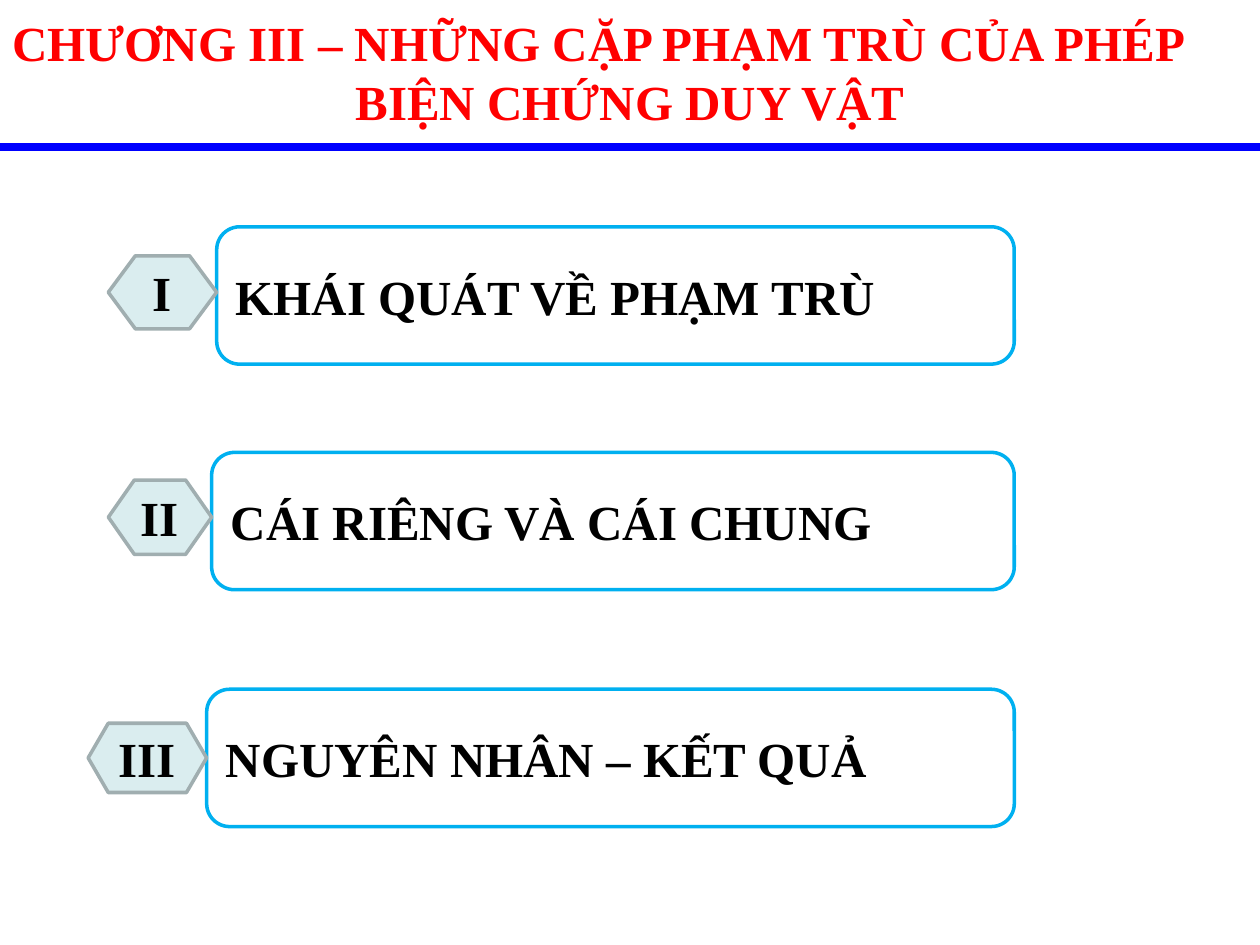
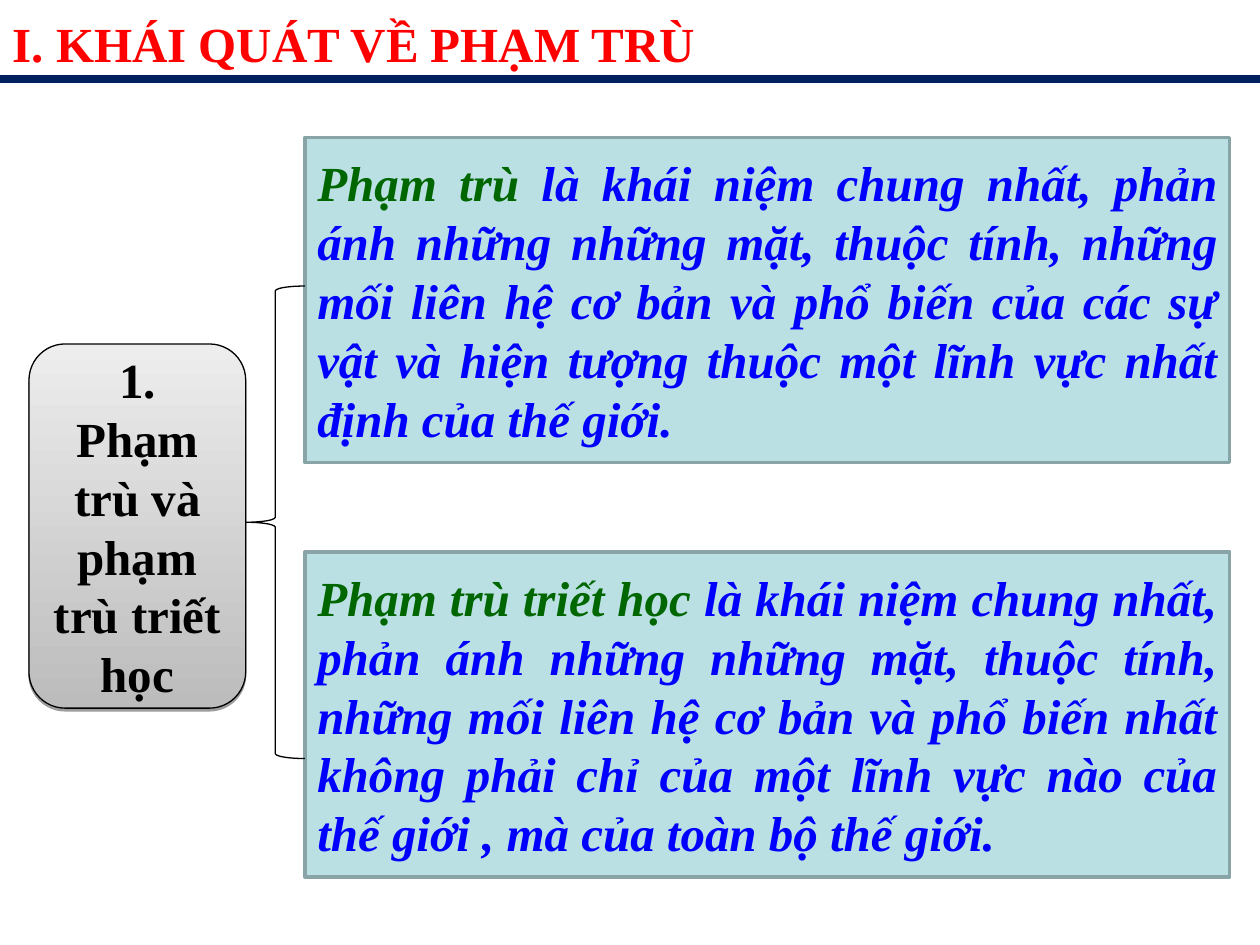
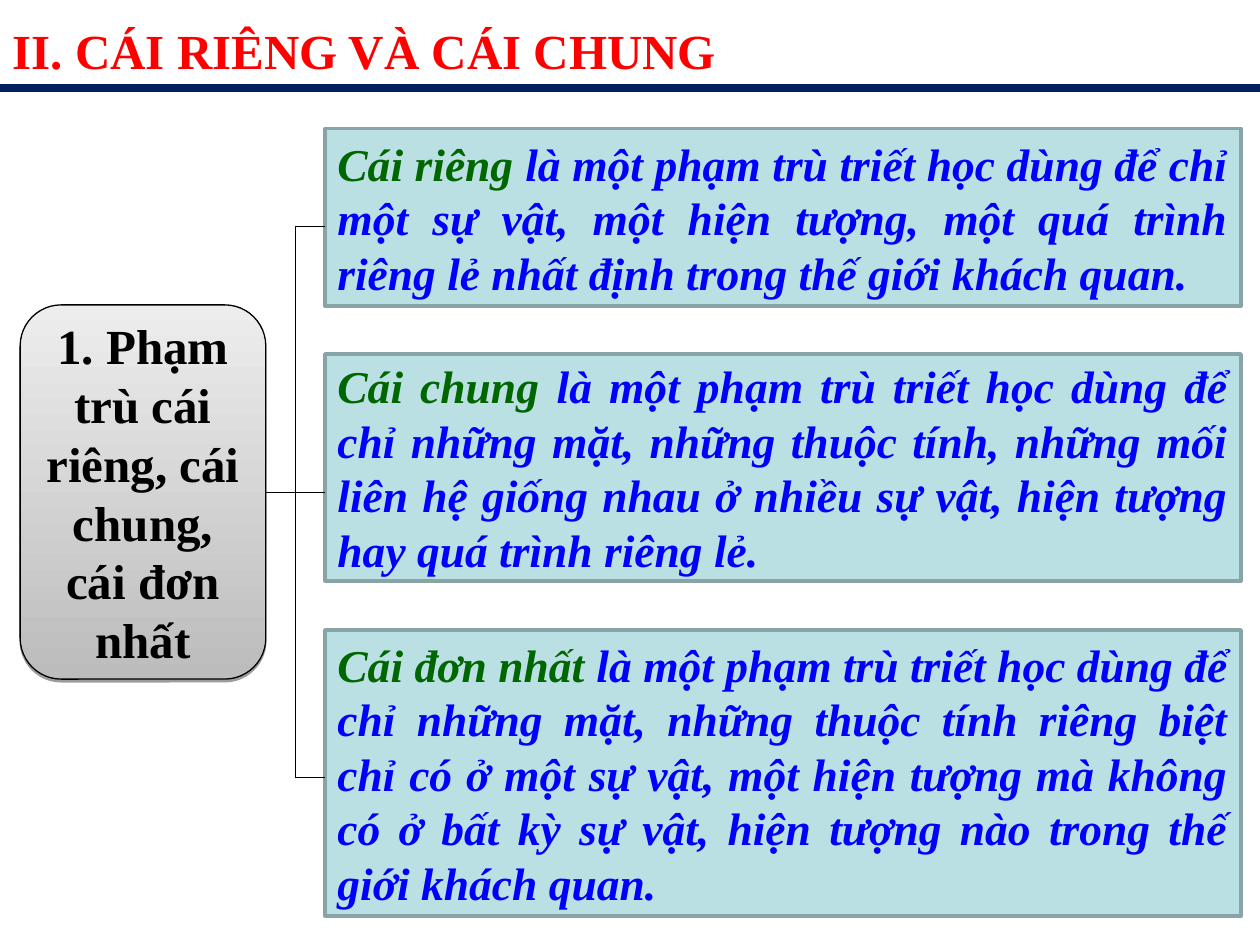
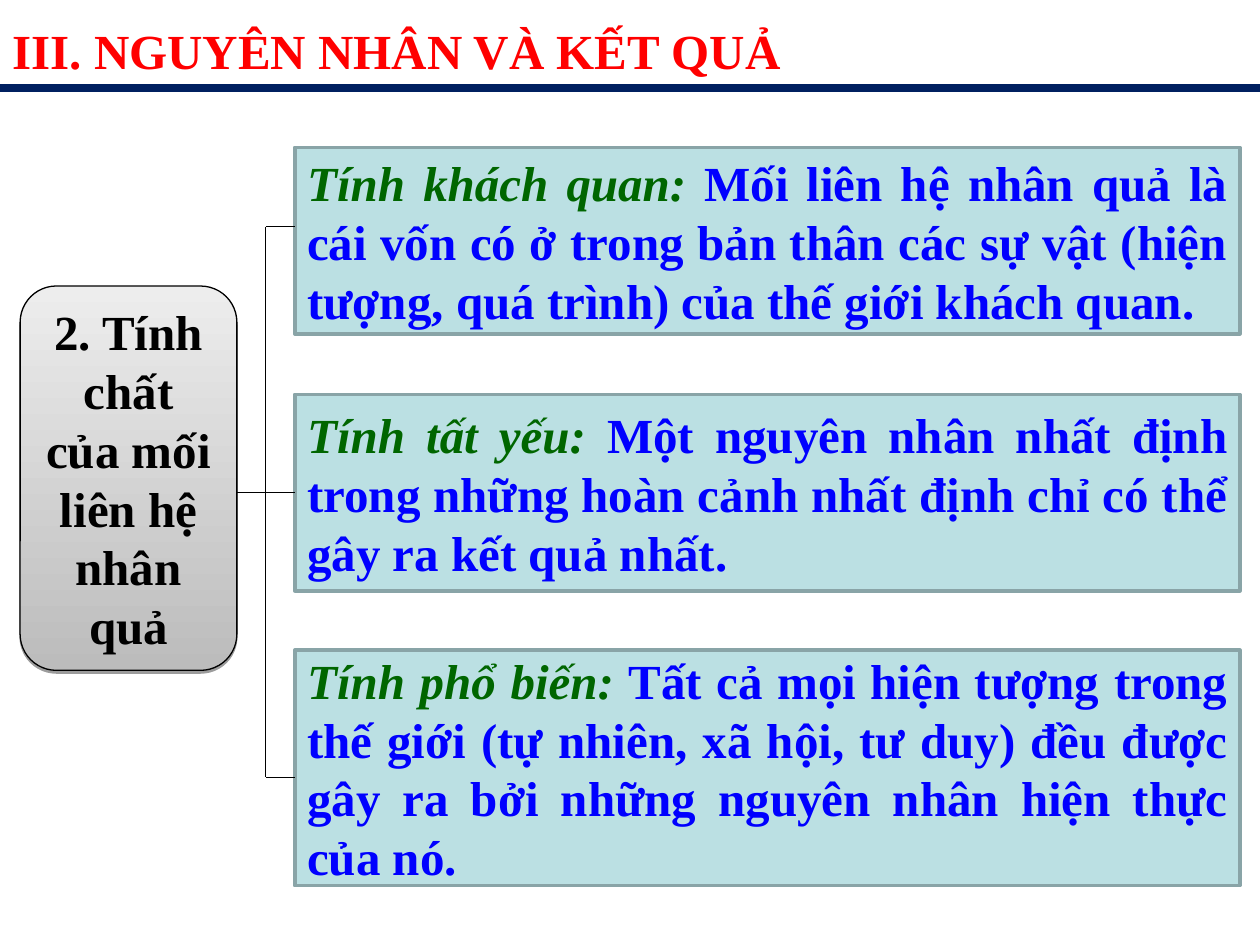
from lxml.etree import SubElement
from pptx import Presentation
from pptx.dml.color import RGBColor
from pptx.enum.shapes import MSO_CONNECTOR, MSO_SHAPE
from pptx.enum.text import MSO_ANCHOR, MSO_AUTO_SIZE, PP_ALIGN
from pptx.oxml.ns import qn
from pptx.util import Inches, Pt

FONT = "Times New Roman"
COLORS = {
    "title": "FF0000", "blue": "0000FF", "navy": "002060", "black": "000000",
    "term": "006600", "box": "BBE0E3", "box_line": "89A4A7",
    "white": "FFFFFF", "chapter_line": "00B0F0",
    "badge": "DAEDEF", "badge_line": "A0AEB0",
    "topic_bottom": "BCBCBC", "topic_top": "EDEDED",
}

# Slide 1: numeral, heading, bar (left, top), badge (left, top, height, point)
CHAPTER_TITLE = ["CHƯƠNG III – NHỮNG CẶP PHẠM TRÙ CỦA PHÉP", "BIỆN CHỨNG DUY VẬT"]
CHAPTERS = [
    ("I", "KHÁI QUÁT VỀ PHẠM TRÙ", (1.72, 1.8), (0.86, 2.03, 0.58, 0.37)),
    ("II", "CÁI RIÊNG VÀ CÁI CHUNG", (1.68, 3.59), (0.86, 3.81, 0.59, 0.35)),
    ("III", "NGUYÊN NHÂN – KẾT QUẢ", (1.64, 5.47), (0.7, 5.74, 0.55, 0.29)),
]
BAR_RIGHT, BAR_HEIGHT = 8.05, 1.09

# Slides 2 to 4: a topic joined to its definitions (top, height, term, text)
SECTIONS = [
    {
        "title": "I. KHÁI QUÁT VỀ PHẠM TRÙ", "title_top": -0.04, "rule": 0.63,
        "topic": "1. Phạm trù và phạm trù triết học",
        "topic_at": (0.23, 2.73, 1.72, 2.89),
        "left": 2.42, "width": 7.34, "size": 28, "italic": True,
        "brace": (2.27, 3.75),
        "definitions": [
            (1.09, 2.58, "Phạm trù ",
             "là khái niệm chung nhất, phản ánh những những mặt, thuộc tính, những "
             "mối liên hệ cơ bản và phổ biến của các sự vật và hiện tượng thuộc một "
             "lĩnh vực nhất định của thế giới."),
            (4.38, 2.58, "Phạm trù triết học ",
             "là khái niệm chung nhất, phản ánh những những mặt, thuộc tính, những "
             "mối liên hệ cơ bản và phổ biến nhất không phải chỉ của một lĩnh vực nào "
             "của thế giới , mà của toàn bộ thế giới."),
        ],
    },
    {
        "title": "II. CÁI RIÊNG VÀ CÁI CHUNG", "title_top": 0.02, "rule": 0.7,
        "topic": "1. Phạm trù cái riêng, cái chung, cái đơn nhất",
        "topic_at": (0.16, 2.42, 1.95, 2.97),
        "left": 2.58, "width": 7.27, "size": 26, "italic": True,
        "branches": (1.8, 3.91, 6.17),
        "definitions": [
            (1.02, 1.41, "Cái riêng ",
             "là một phạm trù triết học dùng để chỉ một sự vật, một hiện tượng, một "
             "quá trình riêng lẻ nhất định trong thế giới khách quan."),
            (2.81, 1.8, "Cái chung ",
             "là một phạm trù triết học dùng để chỉ những mặt, những thuộc tính, "
             "những mối liên hệ giống nhau ở nhiều sự vật, hiện tượng hay quá trình "
             "riêng lẻ."),
            (5, 2.27, "Cái đơn nhất ",
             "là một phạm trù triết học dùng để chỉ những mặt, những thuộc tính riêng "
             "biệt chỉ có ở một sự vật, một hiện tượng mà không có ở bất kỳ sự vật, "
             "hiện tượng nào trong thế giới khách quan."),
        ],
    },
    {
        "title": "III. NGUYÊN NHÂN VÀ KẾT QUẢ", "title_top": 0.02, "rule": 0.7,
        "topic": "2. Tính chất của mối liên hệ nhân quả",
        "topic_at": (0.16, 2.27, 1.72, 3.05),
        "left": 2.34, "width": 7.5, "size": 28, "italic": False,
        "branches": (1.8, 3.91, 6.17),
        "definitions": [
            (1.17, 1.48, "Tính khách quan: ",
             "Mối liên hệ nhân quả là cái vốn có ở trong bản thân các sự vật (hiện "
             "tượng, quá trình) của thế giới khách quan."),
            (3.13, 1.56, "Tính tất yếu: ",
             "Một nguyên nhân nhất định trong những hoàn cảnh nhất định chỉ có thể "
             "gây ra kết quả nhất."),
            (5.16, 1.87, "Tính phổ biến: ",
             "Tất cả mọi hiện tượng trong thế giới (tự nhiên, xã hội, tư duy) đều "
             "được gây ra bởi những nguyên nhân hiện thực của nó."),
        ],
    },
]


def rgb(name):
    return RGBColor.from_string(COLORS[name])


def add_text(p, text, size=28, color="black", italic=False, align=None):
    r = p.add_run()
    r.text = text
    r.font.name, r.font.size = FONT, Pt(size)
    r.font.bold, r.font.italic = True, italic
    r.font.color.rgb = rgb(color)
    if align is not None:
        p.alignment = align


def add_box(s, kind, at, fill=None, line="black", weight=2.0, adj=None):
    sp = s.shapes.add_shape(kind, *map(Inches, at))
    sp.shadow.inherit = False
    if fill:
        sp.fill.solid()
        sp.fill.fore_color.rgb = rgb(fill)
    else:
        sp.fill.background()
    sp.line.color.rgb = rgb(line)
    sp.line.width = Pt(weight)
    if adj is not None:
        sp.adjustments[0] = adj
    sp.text_frame.word_wrap = True
    sp.text_frame.vertical_anchor = MSO_ANCHOR.MIDDLE
    return sp


def add_line(s, x1, y1, x2, y2, color="black", weight=0.75):
    c = s.shapes.add_connector(MSO_CONNECTOR.STRAIGHT, *map(Inches, (x1, y1, x2, y2)))
    c.line.color.rgb = rgb(color)
    c.line.width = Pt(weight)
    SubElement(c._element.spPr, qn("a:effectLst"))


def add_titled_slide(prs, lines, top, height, rule, rule_color, spacing=1.0):
    s = prs.slides.add_slide(prs.slide_layouts[5])
    title = s.shapes.title
    title.left, title.top = Inches(0), Inches(top)
    title.width, title.height = prs.slide_width, Inches(height)
    tf = title.text_frame
    tf.auto_size = MSO_AUTO_SIZE.NONE
    tf.vertical_anchor = MSO_ANCHOR.TOP
    for i, text in enumerate(lines):
        p = tf.add_paragraph() if i else tf.paragraphs[0]
        p.line_spacing = spacing
        add_text(p, text, color="title", align=PP_ALIGN.CENTER if i else PP_ALIGN.LEFT)
    add_line(s, 0, rule, 10, rule, rule_color, 4.5)
    return s


def add_topic(s, text, at):
    sp = add_box(s, MSO_SHAPE.ROUNDED_RECTANGLE, at, weight=0.75, adj=0.167)
    sp.fill.gradient()
    sp.fill.gradient_angle = 90
    for stop, name in zip(sp.fill.gradient_stops, ("topic_bottom", "topic_top")):
        stop.color.rgb = rgb(name)
    # Hard shadow just below the box
    effects = sp._element.spPr.find(qn("a:effectLst"))
    shadow = SubElement(effects, qn("a:outerShdw"), blurRad="0", dist=str(Pt(1.6)),
                        dir="5400000", rotWithShape="0")
    color = SubElement(shadow, qn("a:srgbClr"), val=COLORS["black"])
    SubElement(color, qn("a:alpha"), val="38000")
    add_text(sp.text_frame.paragraphs[0], text, align=PP_ALIGN.CENTER)


def add_branches(s, start, end, ys):
    spine = (start + end) / 2
    add_line(s, spine, ys[0], spine, ys[-1])
    for y in ys:
        add_line(s, start if y == ys[1] else spine, y, end, y)


def build_chapter(prs):
    s = add_titled_slide(prs, CHAPTER_TITLE, 0.05, 1.04, 1.17, "blue")
    for numeral, heading, (left, top), (x, y, height, point) in CHAPTERS:
        bar = add_box(s, MSO_SHAPE.ROUNDED_RECTANGLE,
                      (left, top, BAR_RIGHT - left, BAR_HEIGHT),
                      "white", "chapter_line", adj=0.167)
        add_text(bar.text_frame.paragraphs[0], heading, align=PP_ALIGN.JUSTIFY)
        badge = add_box(s, MSO_SHAPE.HEXAGON, (x, y, left - x, height),
                        "badge", "badge_line", adj=point)
        add_text(badge.text_frame.paragraphs[0], numeral, align=PP_ALIGN.CENTER)


def build_section(prs, sec):
    s = add_titled_slide(prs, [sec["title"]], sec["title_top"], 0.66, sec["rule"],
                         "navy", spacing=1.2)
    left, size = sec["left"], sec["size"]
    for top, height, term, text in sec["definitions"]:
        sp = add_box(s, MSO_SHAPE.RECTANGLE, (left, top, sec["width"], height),
                     "box", "box_line")
        p = sp.text_frame.paragraphs[0]
        add_text(p, term, size, "term", italic=True, align=PP_ALIGN.JUSTIFY)
        add_text(p, text, size, "blue", italic=sec["italic"])
    # Topic and the lines that join it to the definitions
    topic_right = sec["topic_at"][0] + sec["topic_at"][2]
    if "brace" in sec:
        top, height = sec["brace"]
        add_box(s, MSO_SHAPE.LEFT_BRACE, (topic_right, top, left - topic_right, height),
                weight=0.75)
    else:
        add_branches(s, topic_right, left, sec["branches"])
    add_topic(s, sec["topic"], sec["topic_at"])


def main():
    prs = Presentation()
    prs.slide_width, prs.slide_height = Inches(10), Inches(7.5)
    build_chapter(prs)
    for sec in SECTIONS:
        build_section(prs, sec)
    prs.save("out.pptx")


if __name__ == "__main__":
    main()
